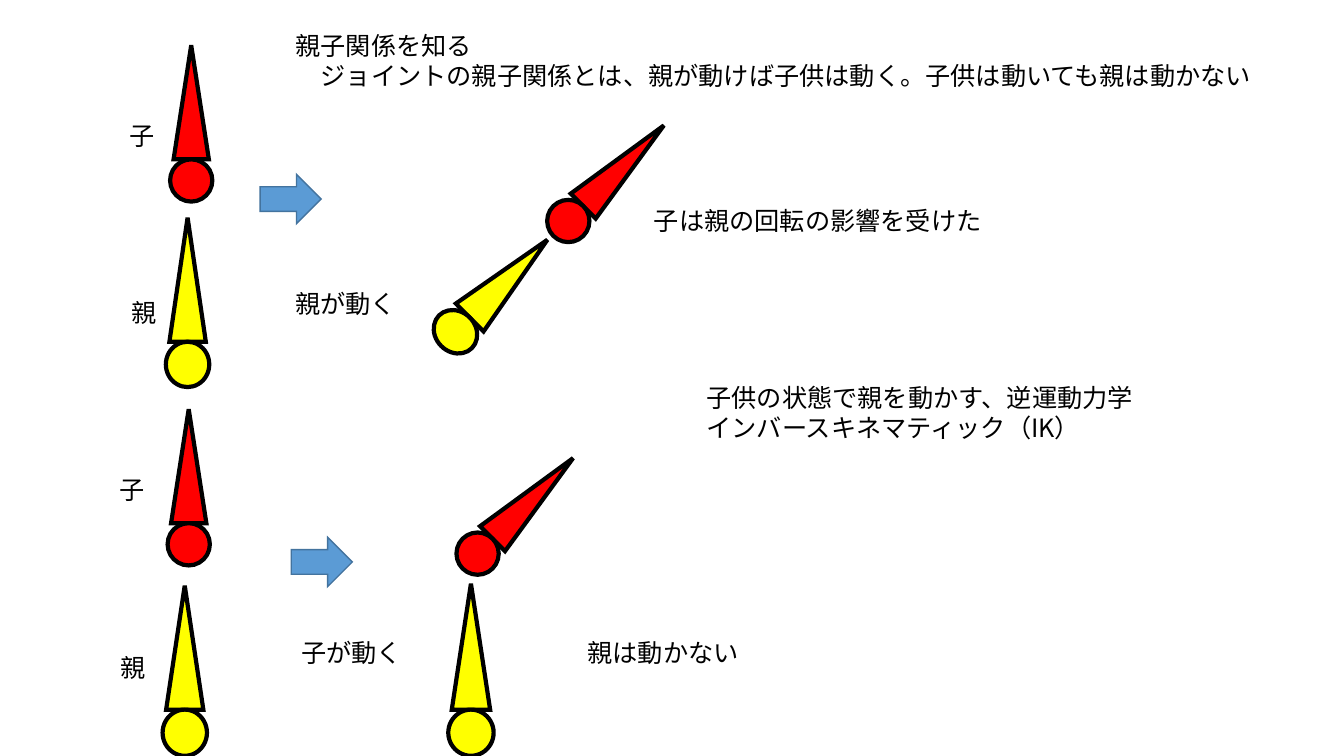
import pptx
import pptx.dml.color
import pptx.enum.shapes
import pptx.enum.text
import pptx.oxml.ns
import pptx.util
from dataclasses import dataclass
from lxml import etree

Pt = pptx.util.Pt
SHAPE = pptx.enum.shapes.MSO_SHAPE


@dataclass(frozen=True)
class Theme:
    child: str = "FF0000"
    parent: str = "FFFF00"
    outline: str = "000000"
    arrow: str = "5B9BD5"
    arrow_line: str = "43739E"
    text: str = "000000"
    font: str = "Noto Sans CJK JP"
    size: int = 18


THEME = Theme()

# Upright geometry: centre x, top, cone size, ball size, rotation, colour
CHILD_CONE, CHILD_BALL = (25.2, 81.4), (30.2, 30.2)
JOINTS = [
    (136.6, 32.4, CHILD_CONE, CHILD_BALL, 0, THEME.child),
    (134, 155.5, (26, 88.6), (31, 32.4), 0, THEME.parent),
    (134.8, 292.3, CHILD_CONE, CHILD_BALL, 0, THEME.child),
    (132, 418.3, (26.6, 88.6), (31.7, 33), 0, THEME.parent),
    (434.7, 73.3, CHILD_CONE, CHILD_BALL, 45, THEME.child),
    (353.1, 155.6, (28.1, 78.5), (33.1, 28.8), 45, THEME.parent),
    (369.9, 310.9, CHILD_CONE, CHILD_BALL, 45, THEME.child),
    (336.4, 416.9, (27.4, 90), (32.4, 33), 0, THEME.parent),
]

ARROWS = [(185.8, 124.6), (208.1, 383.8)]

# Left, top, width, height, text
LABELS = [
    (203.8, 202.3, 87, 29, "親が動く"),
    (460, 143.3, 250.6, 29, "子は親の回転の影響を受けた"),
    (208, 451.4, 87, 29, "子が動く"),
    (412.6, 451.4, 123.8, 29, "親は動かない"),
    (497.5, 269.3, 323.3, 51, "子供の状態で親を動かす、逆運動力学\nインバースキネマティック（IK）"),
    (85.7, 82.1, 32.4, 29, "子"),
    (87.1, 208.8, 32.4, 29, "親"),
    (78.5, 335.5, 32.4, 29, "子"),
    (79.2, 462.2, 32.4, 29, "親"),
]

HEADING = ("親子関係を知る\n"
           "　ジョイントの親子関係とは、親が動けば子供は動く。子供は動いても親は動かない")


def rgb(value):
    return pptx.dml.color.RGBColor.from_string(value)


def add_filled(shapes, kind, box, fill, line, line_width):
    sp = shapes.add_shape(kind, *map(Pt, box))
    sp.shadow.inherit = False
    sp.fill.solid()
    sp.fill.fore_color.rgb = rgb(fill)
    sp.line.color.rgb = rgb(line)
    sp.line.width = Pt(line_width)
    # Sharp corners on the outline
    miter = etree.SubElement(sp.line._get_or_add_ln(), pptx.oxml.ns.qn("a:miter"))
    miter.set("lim", "800000")
    return sp


def add_joint(s, cx, top, cone, ball, rotation, color):
    """A cone standing on a ball, turned as one group."""
    group = s.shapes.add_group_shape()
    for kind, (w, h), y in ((SHAPE.ISOSCELES_TRIANGLE, cone, top),
                            (SHAPE.OVAL, ball, top + cone[1])):
        add_filled(group.shapes, kind, (cx - w / 2, y, w, h), color, THEME.outline, 3)
    group.rotation = rotation


def format_text(sp, text):
    tf = sp.text_frame
    tf.text = text
    tf.word_wrap = False
    tf.auto_size = pptx.enum.text.MSO_AUTO_SIZE.SHAPE_TO_FIT_TEXT
    tf.vertical_anchor = pptx.enum.text.MSO_ANCHOR.TOP
    for p in tf.paragraphs:
        p.alignment = pptx.enum.text.PP_ALIGN.LEFT
        p.line_spacing = 1.0
        p.space_before = Pt(0)
        for r in p.runs:
            r.font.size = Pt(THEME.size)
            r.font.color.rgb = rgb(THEME.text)
            r.font.name = THEME.font
            ea = etree.SubElement(r.font._element, pptx.oxml.ns.qn("a:ea"))
            ea.set("typeface", THEME.font)


def add_label(s, left, top, width, height, text):
    format_text(s.shapes.add_textbox(*map(Pt, (left, top, width, height))), text)


def set_heading(s):
    sp = s.shapes.title
    sp.left, sp.top, sp.width, sp.height = map(Pt, (203.8, 18, 723.6, 51))
    format_text(sp, HEADING)


def main():
    prs = pptx.Presentation()
    prs.slide_width, prs.slide_height = Pt(960), Pt(540)
    s = prs.slides.add_slide(prs.slide_layouts[5])

    # Heading
    set_heading(s)

    # Joints before and after the movement
    for joint in JOINTS:
        add_joint(s, *joint)

    # Movement arrows
    for left, top in ARROWS:
        add_filled(s.shapes, SHAPE.RIGHT_ARROW, (left, top, 43.6, 35.2),
                   THEME.arrow, THEME.arrow_line, 1)

    # Labels
    for label in LABELS:
        add_label(s, *label)

    prs.save("out.pptx")


if __name__ == "__main__":
    main()
